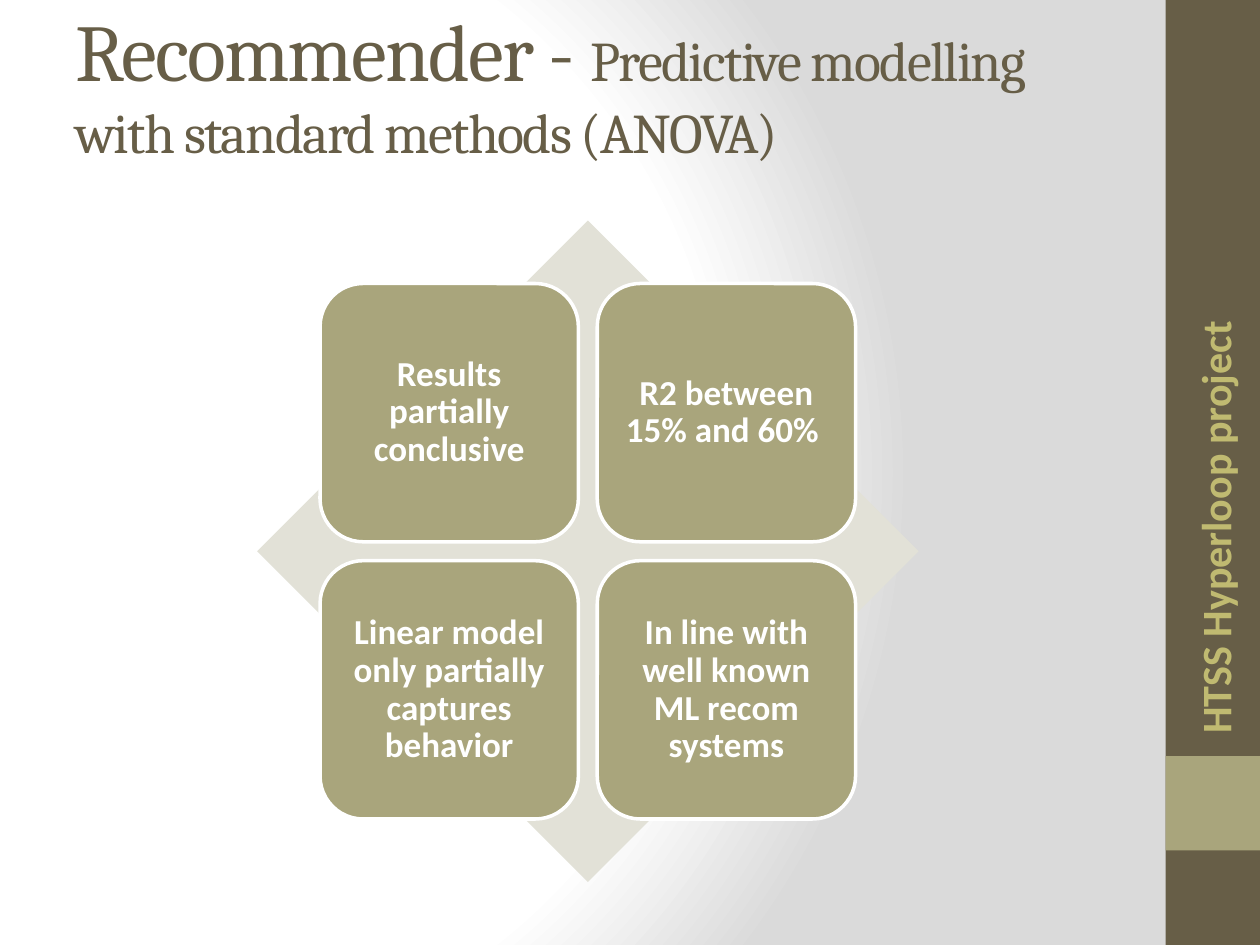
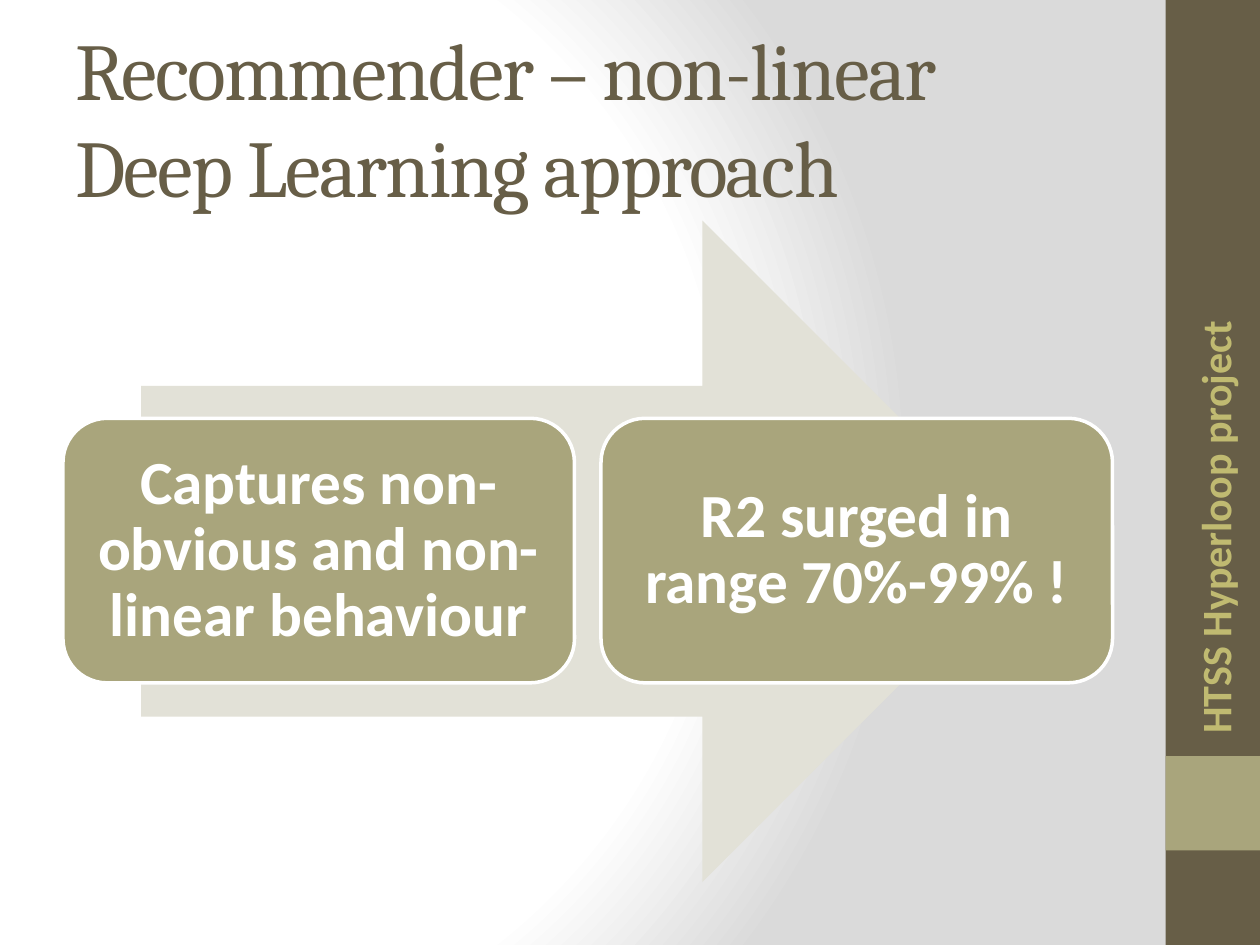
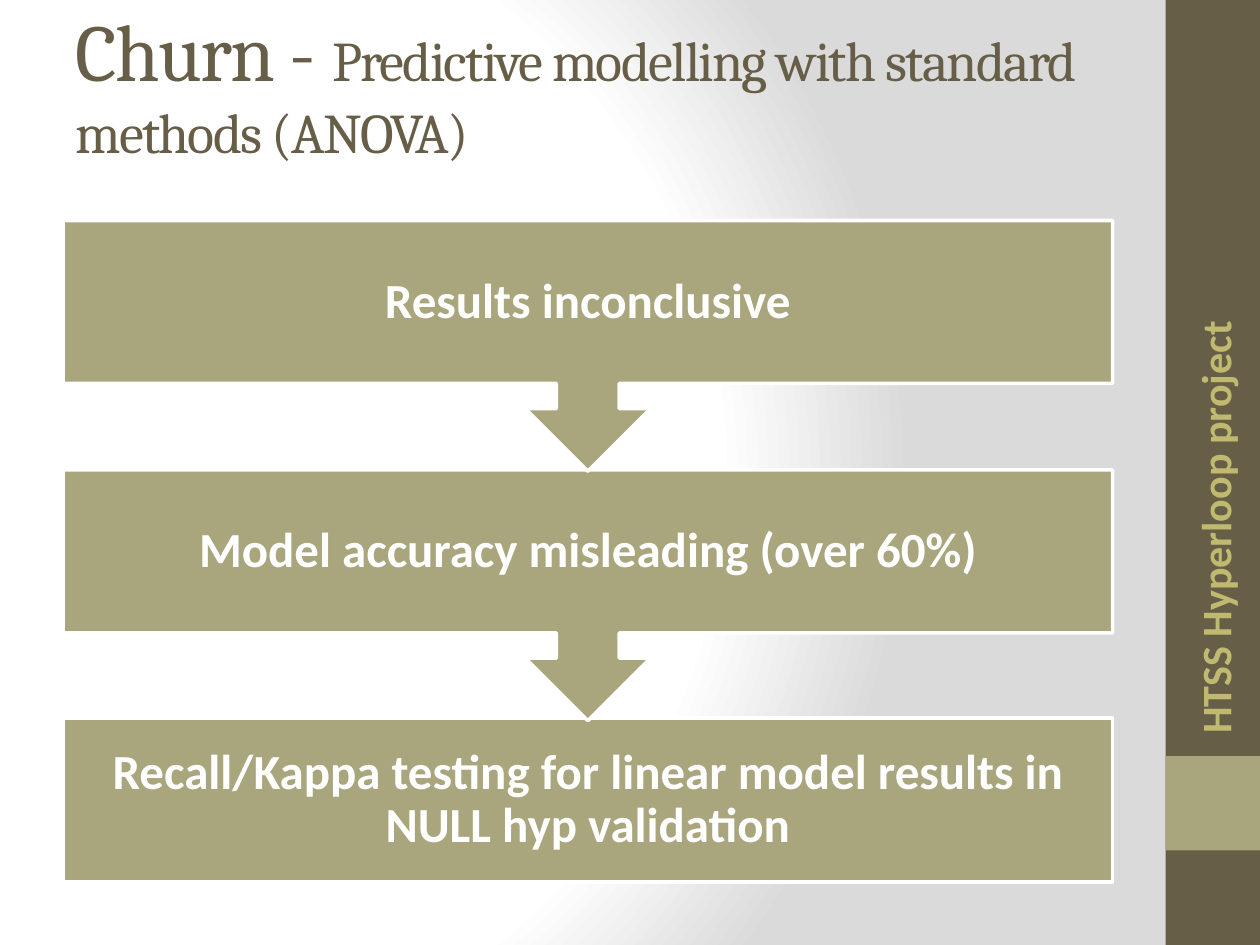
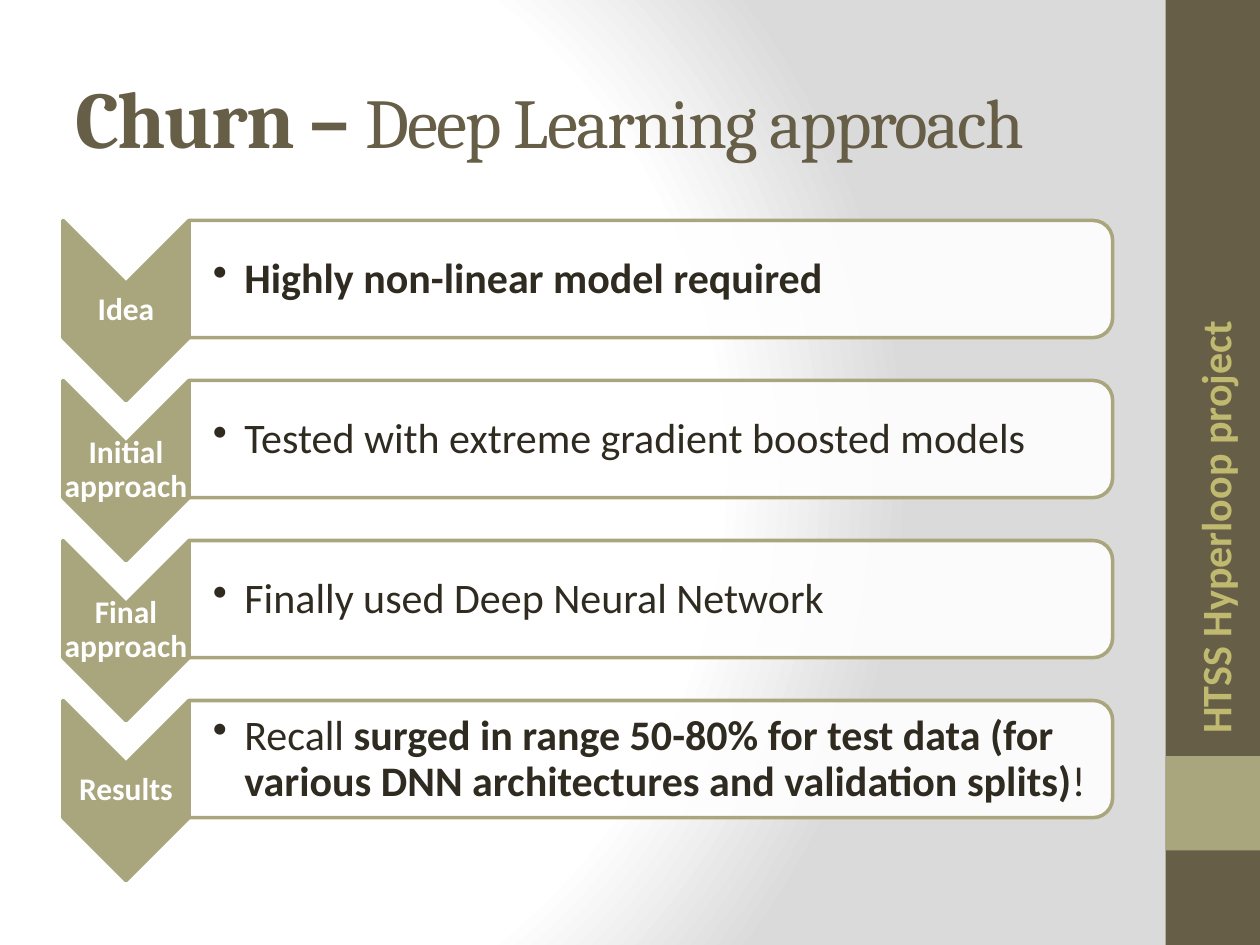
from dataclasses import dataclass
from typing import NamedTuple

from pptx import Presentation, util as u
from pptx.dml.color import RGBColor
from pptx.enum import shapes, text
from pptx.oxml import parse_xml
from pptx.oxml.ns import nsdecls, qn

DARK, OLIVE, PALE = "675E47", "A9A57C", "E2E1D7"
GOLD, INK, WHITE = "C0BA71", "2F2B20", "FFFFFF"
BODY, HEAD = "Calibri", "Cambria"
KIND = shapes.MSO_SHAPE
LEFT, TOP, WIDE, HIGH = 0.5, 1.75, 8.33, 5.25

BACK = f"""<a:gradFill {nsdecls('a')} rotWithShape="1"><a:gsLst>
<a:gs pos="0"><a:srgbClr val="FFFFFF"/></a:gs>
<a:gs pos="75000"><a:srgbClr val="FFFFFF"/></a:gs>
<a:gs pos="100000"><a:srgbClr val="DADADA"/></a:gs></a:gsLst>
<a:path path="circle"><a:fillToRect l="20000" t="50000" r="100000" b="50000"/></a:path>
</a:gradFill>"""


class Box(NamedTuple):
    x: float
    y: float
    w: float
    h: float


@dataclass
class Run:
    text: str
    size: float
    bold: bool = False


@dataclass
class Step:
    label: str
    runs: list[Run]


def paint(hue: str) -> RGBColor:
    return RGBColor.from_string(hue)


def place(box: Box, turn: int) -> list[u.Length]:
    x, y, w, h = box
    if turn in (90, 270):
        x, y, w, h = x + (w - h) / 2, y + (h - w) / 2, h, w
    return [u.Inches(n) for n in (x, y, w, h)]


def write(shape, runs: list[Run], *, hue: str = WHITE, font: str = BODY,
          inset: tuple = (0.1, 0.05, 0.1, 0.05), align=text.PP_ALIGN.CENTER,
          anchor=text.MSO_ANCHOR.MIDDLE, lead: float = 0.9,
          track: int = 0, bullet: bool = False) -> None:
    frame = shape.text_frame
    frame.word_wrap = True
    frame.vertical_anchor = anchor
    (frame.margin_left, frame.margin_top,
     frame.margin_right, frame.margin_bottom) = [u.Inches(n) for n in inset]
    para = frame.paragraphs[0]
    para.alignment = align
    para.line_spacing = lead
    if bullet:
        props = para._p.get_or_add_pPr()
        props.set("marL", str(u.Inches(0.25)))
        props.set("indent", str(-u.Inches(0.25)))
        props.append(parse_xml(f'<a:buChar {nsdecls("a")} char="•"/>'))
    for item in runs:
        run = para.add_run()
        run.text = item.text
        run.font.name = font
        run.font.size = u.Pt(item.size)
        run.font.bold = item.bold
        run.font.color.rgb = paint(hue)
        if track:
            run._r.get_or_add_rPr().set("spc", str(track))


def draw(slide, kind, box: Box, fill: str, line: str = "", turn: int = 0,
         alpha: int = 100):
    shape = slide.shapes.add_shape(kind, *place(box, turn))
    shape.rotation = turn
    shape.shadow.inherit = False
    shape.fill.solid()
    shape.fill.fore_color.rgb = paint(fill)
    if alpha < 100:
        tint = shape._element.spPr.find(f"{qn('a:solidFill')}/{qn('a:srgbClr')}")
        tint.append(parse_xml(f'<a:alpha {nsdecls("a")} val="{alpha * 1000}"/>'))
    if line:
        shape.line.color.rgb = paint(line)
        shape.line.width = u.Pt(2)
    else:
        shape.line.fill.background()
    return shape


def label(slide, box: Box, runs: list[Run], turn: int = 0, **style) -> None:
    shape = slide.shapes.add_textbox(*place(box, turn))
    shape.rotation = turn
    write(shape, runs, **style)


def start(deck, title: list[Run], lift: float = 0):
    slide = deck.slides.add_slide(deck.slide_layouts[6])
    slide.background.fill.solid()
    plain = slide.element.find(f".//{qn('p:bgPr')}/{qn('a:solidFill')}")
    plain.getparent().replace(plain, parse_xml(BACK))
    draw(slide, KIND.RECTANGLE, Box(9.25, 0, 0.75, 7.5), DARK)
    draw(slide, KIND.RECTANGLE, Box(9.25, 6, 0.75, 0.75), OLIVE)
    label(slide, Box(9.39, 2.25, 0.5, 3.67),
          [Run("HTSS Hyperloop project", 24, True)], turn=270, hue=GOLD,
          align=text.PP_ALIGN.LEFT, anchor=text.MSO_ANCHOR.TOP, lead=1.0)
    label(slide, Box(LEFT, 0.3, WIDE, 1.25), title, hue=DARK, font=HEAD,
          inset=(0.1, 0.05, 0.1, 0.05 + lift), align=text.PP_ALIGN.LEFT,
          lead=1.0, track=-100)
    return slide


def card(slide, box: Box, words: str, size: float, pad: float,
         kind=KIND.ROUNDED_RECTANGLE) -> None:
    shape = draw(slide, kind, box, OLIVE, WHITE)
    write(shape, [Run(words, size, True)], inset=(pad,) * 4)


def matrix(deck) -> None:
    slide = start(deck, [
        Run("Recommender - ", 46),
        Run("Predictive modelling with standard methods (ANOVA)", 32)], lift=0.54)
    draw(slide, KIND.DIAMOND, Box(2.04, TOP, HIGH, HIGH), PALE)
    words = ["Results partially conclusive", "R2 between 15% and 60% ",
             "Linear model only partially captures behavior",
             "In line with well known ML recom systems"]
    side, pitch = 2.05, 2.2
    for i, item in enumerate(words):
        row, col = divmod(i, 2)
        card(slide, Box(2.54 + col * pitch, 2.25 + row * pitch, side, side),
             item, 20, 0.08)


def arrow(deck) -> None:
    slide = start(deck, [Run("Recommender – non-linear Deep Learning approach", 46)])
    draw(slide, KIND.RIGHT_ARROW, Box(1.12, TOP, 7.08, HIGH), PALE)
    words = ["Captures non-obvious and non-linear behaviour",
             "R2 surged in range 70%-99% !"]
    for i, item in enumerate(words):
        card(slide, Box(LEFT + i * 4.27, 3.32, 4.06, 2.1), item, 35, 0.15)


def flow(deck) -> None:
    slide = start(deck, [
        Run("Churn - ", 46),
        Run("Predictive modelling with standard methods (ANOVA)", 32)], lift=0.54)
    words = ["Results inconclusive", "Model accuracy misleading (over 60%)"]
    pitch, high, pad = 1.98, 1.3, 0.22
    card(slide, Box(LEFT, 5.7, WIDE, high),
         "Recall/Kappa testing for linear model results in NULL hyp validation",
         28, pad, KIND.RECTANGLE)
    for i, item in reversed(list(enumerate(words))):
        top = TOP + i * pitch
        draw(slide, KIND.UP_ARROW_CALLOUT, Box(LEFT, top, WIDE, 1.99),
             OLIVE, WHITE, turn=180)
        label(slide, Box(LEFT, top, WIDE, high), [Run(item, 28, True)],
              inset=(pad,) * 4)


def steps(deck) -> None:
    slide = start(deck, [Run("Churn – ", 46, True), Run("Deep Learning approach", 40)])
    items = [
        Step("Idea", [Run("Highly non-linear model required", 24, True)]),
        Step("Initial approach",
             [Run("Tested with extreme gradient boosted models", 24)]),
        Step("Final approach", [Run("Finally used Deep Neural Network", 24)]),
        Step("Results", [
            Run("Recall ", 24),
            Run("surged in range 50-80% for test data (for various DNN "
                "architectures and validation splits)", 24, True),
            Run("!", 24)]),
    ]
    for i, item in enumerate(items):
        top = TOP + i * 1.27
        draw(slide, KIND.CHEVRON, Box(LEFT, top, 1, 1.43), OLIVE, OLIVE, turn=90)
        label(slide, Box(LEFT, top + 0.5, 1, 0.43), [Run(item.label, 18, True)],
              inset=(0.01,) * 4)
        draw(slide, KIND.ROUND_2_SAME_RECTANGLE, Box(1.5, top, 7.33, 0.93),
             WHITE, OLIVE, turn=90, alpha=90)
        label(slide, Box(1.5, top + 0.05, 7.29, 0.84), item.runs, hue=INK,
              inset=(0.19, 0.02, 0.02, 0.02), align=text.PP_ALIGN.LEFT, bullet=True)


def main() -> None:
    deck = Presentation()
    deck.slide_width, deck.slide_height = u.Inches(10), u.Inches(7.5)
    for build in (matrix, arrow, flow, steps):
        build(deck)
    deck.save("out.pptx")


main()
